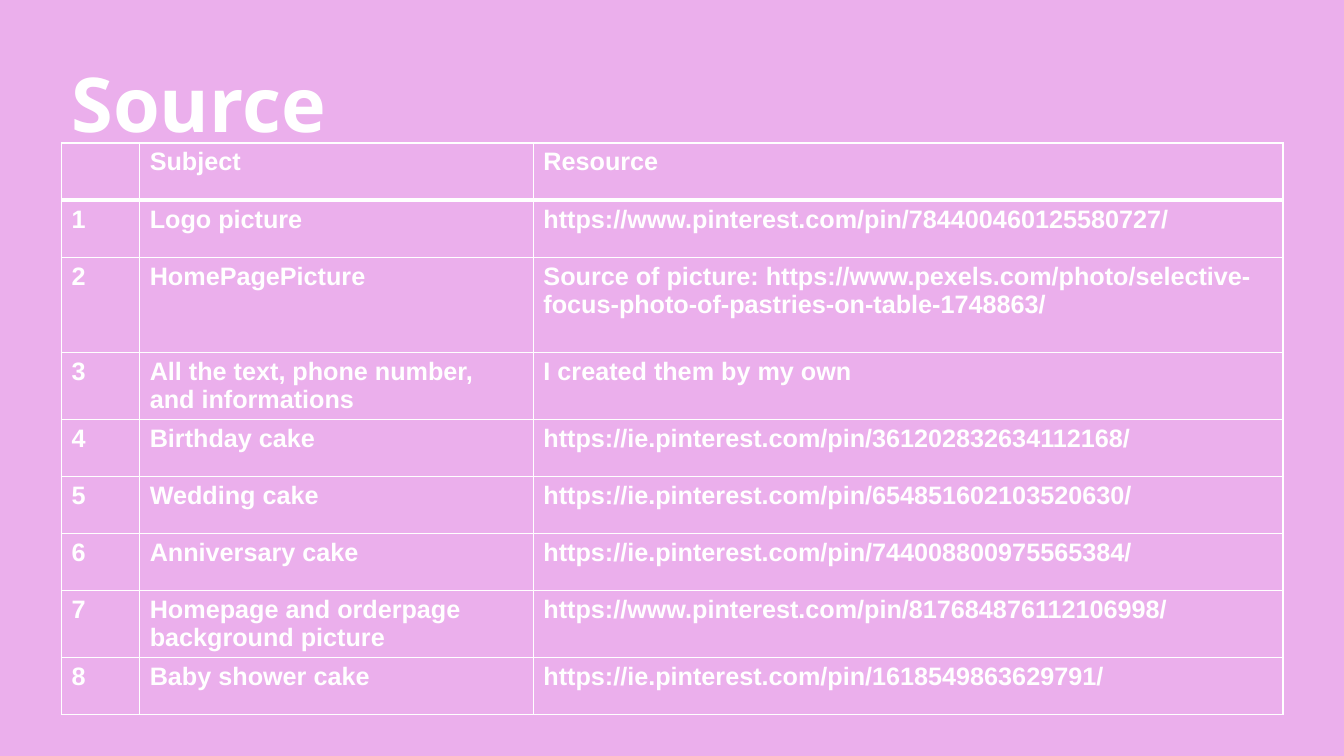
import dataclasses

import lxml.etree
import pptx
import pptx.dml.color
import pptx.enum.shapes
import pptx.enum.text
import pptx.oxml.ns
import pptx.presentation
import pptx.slide
import pptx.table
import pptx.text.text
import pptx.util


@dataclasses.dataclass(frozen=True)
class Theme:
    background: str = "E69BE8"
    background_opacity: int = 80
    ink: str = "FFFFFF"
    title_font: str = "Open Sans"
    title_size: float = 54
    table_font: str = "Arial"
    table_size: float = 18
    rule: float = 1
    header_rule: float = 3


@dataclasses.dataclass(frozen=True)
class Source:
    subject: str
    resource: str
    height: float = 40.9


THEME = Theme()
SLIDE_WIDTH, SLIDE_HEIGHT = 960, 540
LEFT, CONTENT_WIDTH = 43.9, 872.6
TITLE_TOP, TITLE_HEIGHT = 36.7, 72.7
TABLE_TOP = 102.2
COLUMN_WIDTHS = (55.9, 281.2, 535.5)
TWO_LINES = 47.4

HEADER = Source("Subject", "Resource")
SOURCES = (
    Source("Logo picture", "https://www.pinterest.com/pin/784400460125580727/"),
    Source(
        "HomePagePicture",
        "Source of picture: https://www.pexels.com/photo/"
        "selective-focus-photo-of-pastries-on-table-1748863/",
        67.9,
    ),
    Source("All the text, phone number, and informations", "I created them by my own", TWO_LINES),
    Source("Birthday cake", "https://ie.pinterest.com/pin/361202832634112168/"),
    Source("Wedding cake", "https://ie.pinterest.com/pin/654851602103520630/"),
    Source("Anniversary cake", "https://ie.pinterest.com/pin/744008800975565384/"),
    Source(
        "Homepage and orderpage background picture",
        "https://www.pinterest.com/pin/817684876112106998/",
        TWO_LINES,
    ),
    Source("Baby shower cake", "https://ie.pinterest.com/pin/1618549863629791/"),
)


def style_text(paragraph: pptx.text.text._Paragraph, font_name: str, size: float) -> None:
    paragraph.alignment = pptx.enum.text.PP_ALIGN.LEFT
    font = paragraph.font
    font.name = font_name
    font.size = pptx.util.Pt(size)
    font.bold = True
    font.color.rgb = pptx.dml.color.RGBColor.from_string(THEME.ink)


def draw_background(slide: pptx.slide.Slide) -> None:
    backdrop = slide.shapes.add_shape(
        pptx.enum.shapes.MSO_SHAPE.RECTANGLE,
        0, 0, pptx.util.Pt(SLIDE_WIDTH), pptx.util.Pt(SLIDE_HEIGHT),
    )
    backdrop.shadow.inherit = False
    backdrop.line.fill.background()
    backdrop.fill.solid()
    backdrop.fill.fore_color.rgb = pptx.dml.color.RGBColor.from_string(THEME.background)
    color = backdrop.element.spPr.find(".//" + pptx.oxml.ns.qn("a:srgbClr"))
    alpha = lxml.etree.SubElement(color, pptx.oxml.ns.qn("a:alpha"))
    alpha.set("val", str(THEME.background_opacity * 1000))


def draw_borders(cell: pptx.table._Cell, top: float, bottom: float) -> None:
    properties = cell._tc.get_or_add_tcPr()
    edges = {"a:lnL": THEME.rule, "a:lnR": THEME.rule, "a:lnT": top, "a:lnB": bottom}
    for position, (edge, width) in enumerate(edges.items()):
        line = lxml.etree.Element(pptx.oxml.ns.qn(edge), w=str(pptx.util.Pt(width)))
        fill = lxml.etree.SubElement(line, pptx.oxml.ns.qn("a:solidFill"))
        lxml.etree.SubElement(fill, pptx.oxml.ns.qn("a:srgbClr"), val=THEME.ink)
        properties.insert(position, line)


def draw_sources(slide: pptx.slide.Slide) -> None:
    entries = (HEADER, *SOURCES)
    table = slide.shapes.add_table(
        len(entries), len(COLUMN_WIDTHS),
        pptx.util.Pt(LEFT), pptx.util.Pt(TABLE_TOP),
        pptx.util.Pt(CONTENT_WIDTH), pptx.util.Pt(sum(entry.height for entry in entries)),
    ).table
    table.horz_banding = False
    for column, width in zip(table.columns, COLUMN_WIDTHS):
        column.width = pptx.util.Pt(width)
    for number, (row, entry) in enumerate(zip(table.rows, entries)):
        row.height = pptx.util.Pt(entry.height)
        top = THEME.header_rule if number == 1 else THEME.rule
        bottom = THEME.header_rule if number == 0 else THEME.rule
        labels = (str(number) if number else "", entry.subject, entry.resource)
        for cell, label in zip(row.cells, labels):
            cell.text = label
            style_text(cell.text_frame.paragraphs[0], THEME.table_font, THEME.table_size)
            cell.fill.background()
            draw_borders(cell, top, bottom)


def draw_title(slide: pptx.slide.Slide) -> None:
    heading = slide.shapes.title
    heading.left, heading.top = pptx.util.Pt(LEFT), pptx.util.Pt(TITLE_TOP)
    heading.width, heading.height = pptx.util.Pt(CONTENT_WIDTH), pptx.util.Pt(TITLE_HEIGHT)
    frame = heading.text_frame
    frame.text = "Source"
    frame.word_wrap = True
    frame.auto_size = pptx.enum.text.MSO_AUTO_SIZE.SHAPE_TO_FIT_TEXT
    frame.vertical_anchor = pptx.enum.text.MSO_ANCHOR.MIDDLE
    style_text(frame.paragraphs[0], THEME.title_font, THEME.title_size)
    heading.element.getparent().append(heading.element)


def main() -> None:
    presentation: pptx.presentation.Presentation = pptx.Presentation()
    presentation.slide_width = pptx.util.Pt(SLIDE_WIDTH)
    presentation.slide_height = pptx.util.Pt(SLIDE_HEIGHT)
    slide = presentation.slides.add_slide(presentation.slide_layouts.get_by_name("Title Only"))
    draw_background(slide)
    draw_sources(slide)
    draw_title(slide)
    presentation.save("out.pptx")


if __name__ == "__main__":
    main()
